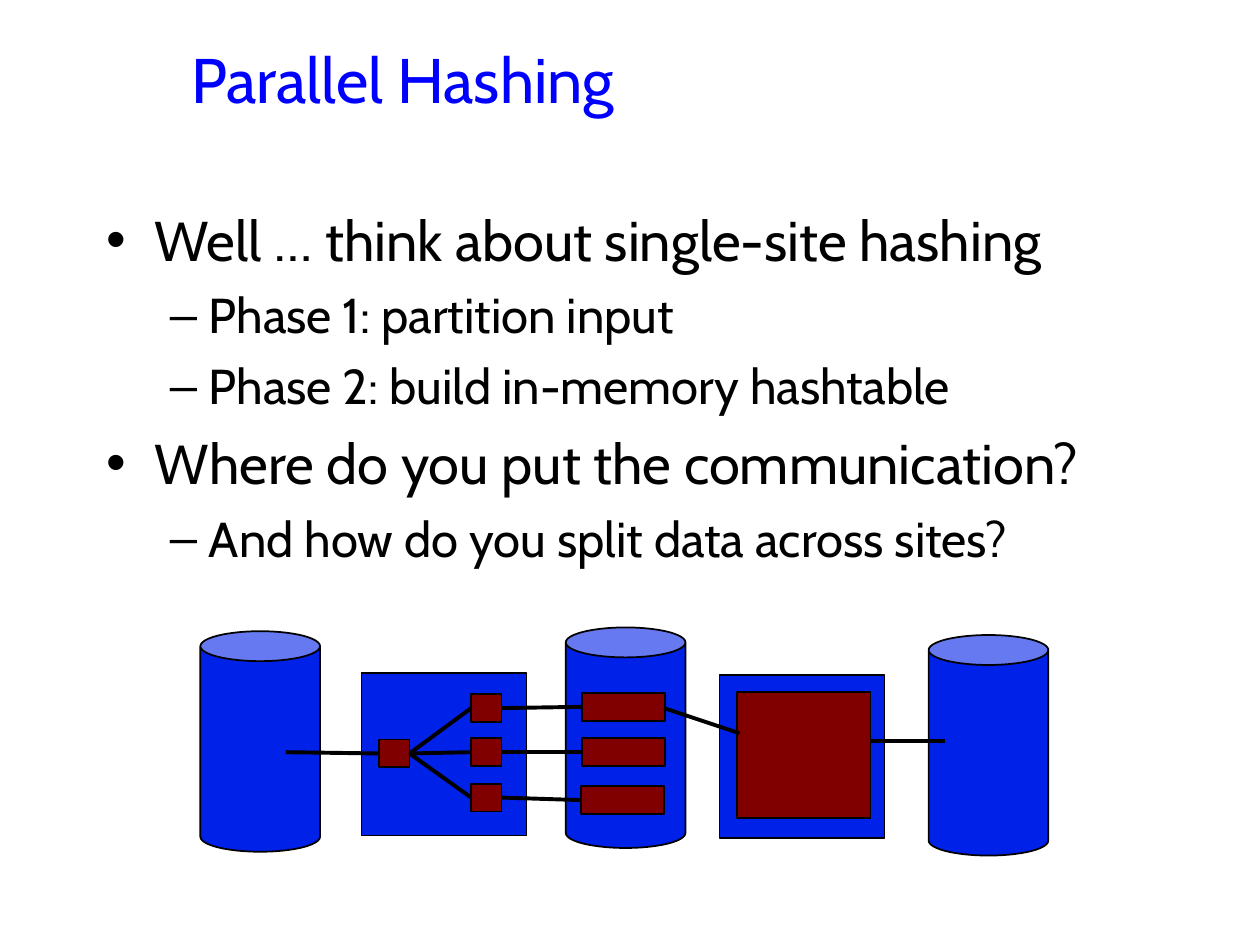
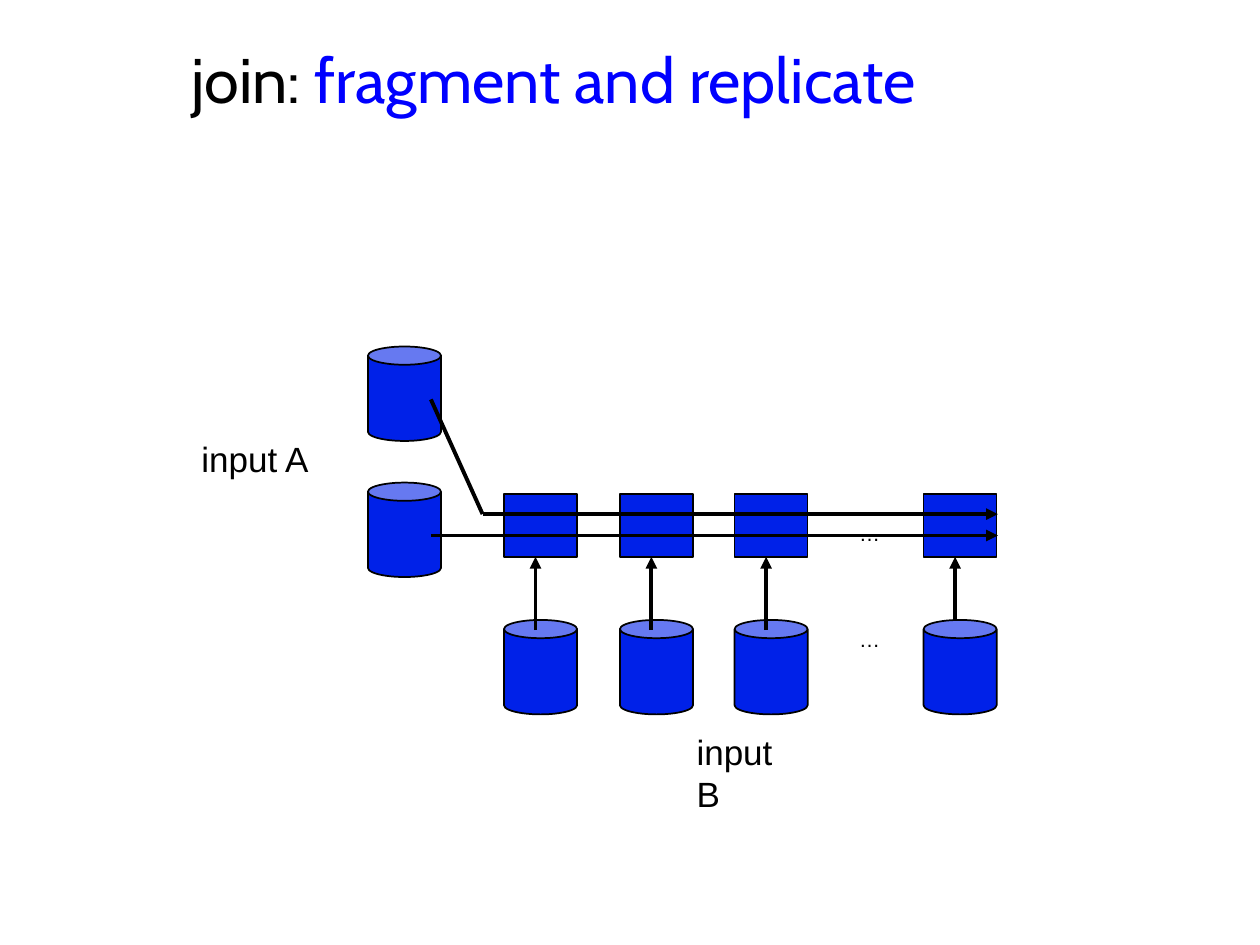
import pptx
import pptx.dml.color
import pptx.enum.shapes
import pptx.enum.text
import pptx.util
from pptx.oxml.ns import qn
from lxml import etree

Inches = pptx.util.Inches
Pt = pptx.util.Pt
Preset = pptx.enum.shapes.MSO_SHAPE

COLORS = {"title": "0000FF", "ink": "000000", "node": "0021E8", "buffer": "800000"}
HEADING_FONT = "Cabin"
LABEL_FONT = "Arial"
TOP, LEFT, BOTTOM, RIGHT = range(4)

# Per outline level: bullet, size, left margin, hanging indent, space before
LEVELS = [("•", 32, 0.38, 0.38, 8), ("–", 28, 0.81, 0.31, 7)]


def rgb(color):
    return pptx.dml.color.RGBColor.from_string(COLORS[color])


def set_font(font, name, size, color="ink"):
    font.name = name
    font.size = Pt(size)
    font.color.rgb = rgb(color)


def add_text_frame(slide, left, top, width, height, wrap=True):
    box = slide.shapes.add_textbox(Inches(left), Inches(top), Inches(width), Inches(height))
    box.text_frame.word_wrap = wrap
    return box.text_frame


def add_title(slide, *parts):
    """Each part is a (text, color) pair."""
    frame = add_text_frame(slide, 1.42, 0, 7.83, 1.25)
    frame.vertical_anchor = pptx.enum.text.MSO_ANCHOR.MIDDLE
    title = frame.paragraphs[0]
    set_font(title.font, HEADING_FONT, 36)
    for text, color in parts:
        run = title.add_run()
        run.text = text
        run.font.color.rgb = rgb(color)


def add_outline(slide, entries):
    """Each entry is a (level, text) pair."""
    frame = add_text_frame(slide, 0.75, 1.58, 8.5, 5.58)
    for index, (level, text) in enumerate(entries):
        bullet, size, margin, hanging, space = LEVELS[level]
        entry = frame.add_paragraph() if index else frame.paragraphs[0]
        entry.text = text
        entry.level = level
        entry.space_before = Pt(space if index else 0)
        properties = entry._p.get_or_add_pPr()
        properties.set("marL", str(Inches(margin)))
        properties.set("indent", str(-Inches(hanging)))
        etree.SubElement(properties, qn("a:buFont")).set("typeface", LABEL_FONT)
        etree.SubElement(properties, qn("a:buChar")).set("char", bullet)
        set_font(entry.font, HEADING_FONT, size)


def add_label(slide, text, left, top, width, height, size):
    label = add_text_frame(slide, left, top, width, height, wrap=False).paragraphs[0]
    label.text = text
    set_font(label.font, LABEL_FONT, size)


def add_block(slide, preset, left, top, width, height, color="node"):
    block = slide.shapes.add_shape(
        preset, Inches(left), Inches(top), Inches(width), Inches(height))
    block.shadow.inherit = False
    block.fill.solid()
    block.fill.fore_color.rgb = rgb(color)
    block.line.color.rgb = rgb("ink")
    block.line.width = Pt(1)
    return block


def add_flow(slide, start=(0, 0), end=(0, 0), source=None, target=None, arrow=False):
    """Draw a line between points; source and target are joined at their sides."""
    flow = slide.shapes.add_connector(
        pptx.enum.shapes.MSO_CONNECTOR.STRAIGHT, *map(Inches, (*start, *end)))
    if source is not None:
        flow.begin_connect(source, RIGHT)
    if target is not None:
        flow.end_connect(target, LEFT)
    flow.line.color.rgb = rgb("ink")
    flow.line.width = Pt(2.25)
    if arrow:
        etree.SubElement(flow.line._get_or_add_ln(), qn("a:tailEnd")).set("type", "triangle")
    etree.SubElement(flow._element.spPr, qn("a:effectLst"))


def build_hashing_slide(slide):
    add_title(slide, ("Parallel Hashing", "title"))
    add_outline(slide, [
        (0, "Well … think about single-site hashing"),
        (1, "Phase 1: partition input"),
        (1, "Phase 2: build in-memory hashtable"),
        (0, "Where do you put the communication?"),
        (1, "And how do you split data across sites?"),
    ])

    # Disks and the memory of each phase
    for left, top in [(1.59, 5.01), (7.37, 5.04), (4.49, 4.98)]:
        add_block(slide, Preset.CAN, left, top, 0.95, 1.75)
    for left, top in [(2.87, 5.34), (5.71, 5.36)]:
        add_block(slide, Preset.RECTANGLE, left, top, 1.31, 1.29)

    # Phase 1: input is hashed to output buffers, each written to a partition
    hash_input = add_block(slide, Preset.RECTANGLE, 3.01, 5.87, 0.24, 0.22, "buffer")
    add_flow(slide, start=(2.27, 5.97), target=hash_input)
    for buffer_top, partition_left, partition_top in [
            (5.51, 4.62, 5.5), (5.86, 4.62, 5.86), (6.22, 4.61, 6.24)]:
        output = add_block(slide, Preset.RECTANGLE, 3.74, buffer_top, 0.24, 0.22, "buffer")
        partition = add_block(slide, Preset.RECTANGLE, partition_left, partition_top,
                              0.66, 0.22, "buffer")
        add_flow(slide, source=hash_input, target=output)
        add_flow(slide, source=output, target=partition)

    # Phase 2: one partition is read into the hashtable
    add_block(slide, Preset.RECTANGLE, 5.85, 5.49, 1.06, 1, "buffer")
    add_flow(slide, (5.27, 5.62), (5.87, 5.82))
    add_flow(slide, (6.91, 5.88), (7.5, 5.88))


def build_join_slide(slide):
    add_title(slide, ("join:", "ink"), (" fragment and replicate", "title"))
    add_label(slide, "input B", 5.43, 5.75, 1.06, 0.44, 20)
    add_label(slide, "input A", 1.5, 3.42, 1.06, 0.44, 20)

    # Fragments of input A
    for top in (2.75, 3.83):
        add_block(slide, Preset.CAN, 2.92, top, 0.58, 0.75)

    # Sites, each fed by a fragment of input B
    for left, flow_start in [(4, 5), (4.92, 5), (5.83, 5), (7.33, 4.92)]:
        add_block(slide, Preset.CAN, left, 4.92, 0.58, 0.75)
        add_block(slide, Preset.RECTANGLE, left, 3.92, 0.58, 0.5)
        add_flow(slide, (left + 0.25, flow_start), (left + 0.25, 4.42), arrow=True)
    for top in (4.92, 4.08):
        add_label(slide, "…", 6.72, top, 0.36, 0.3, 12)

    # Input A is replicated to every site
    add_flow(slide, (3.42, 3.17), (3.83, 4.08))
    add_flow(slide, (3.83, 4.08), (7.92, 4.08), arrow=True)
    add_flow(slide, (3.42, 4.25), (7.92, 4.25), arrow=True)


def main():
    deck = pptx.Presentation()
    deck.slide_width = Inches(10)
    deck.slide_height = Inches(7.5)
    blank = deck.slide_layouts[6]
    for build in (build_hashing_slide, build_join_slide):
        build(deck.slides.add_slide(blank))
    deck.save("out.pptx")


if __name__ == "__main__":
    main()
